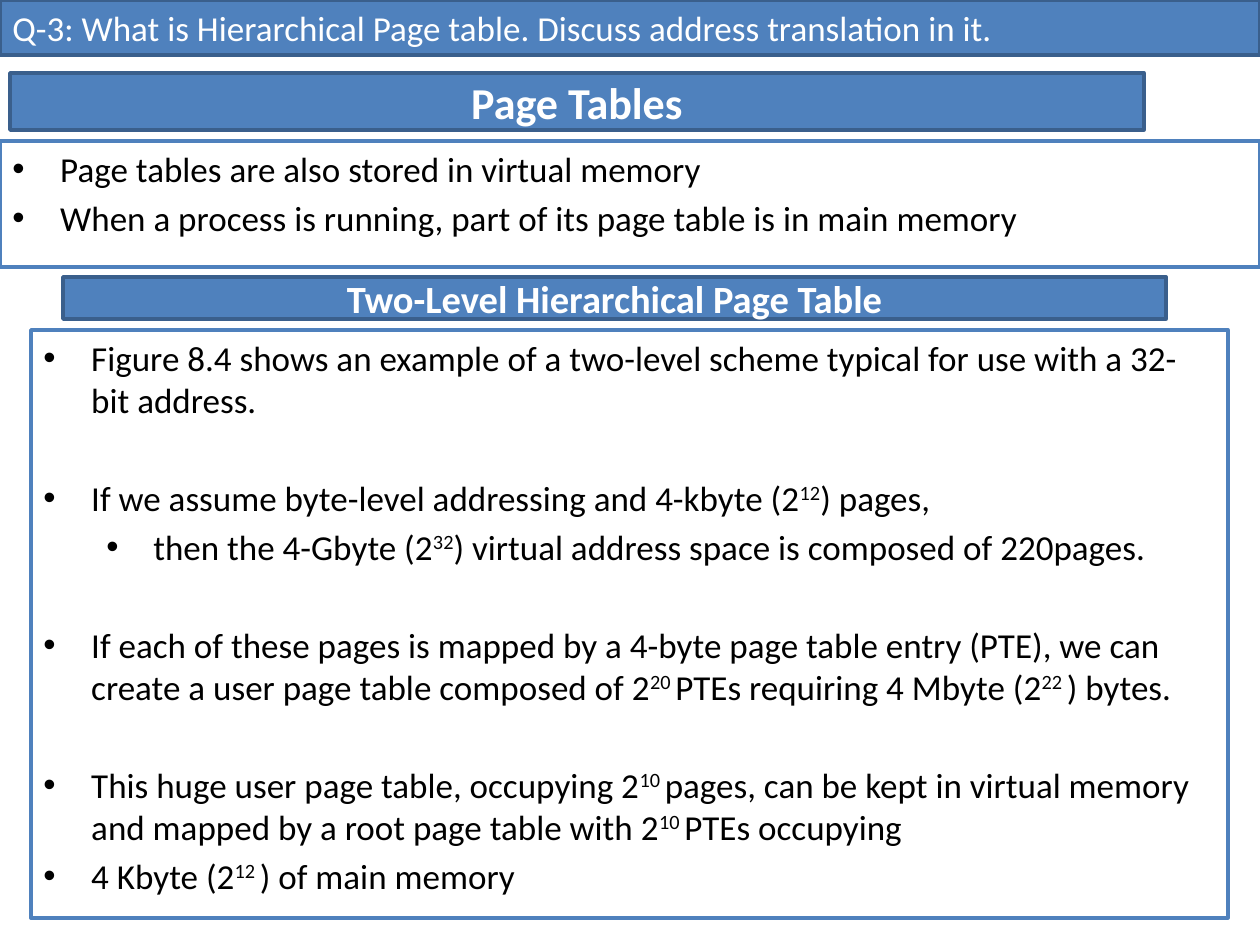
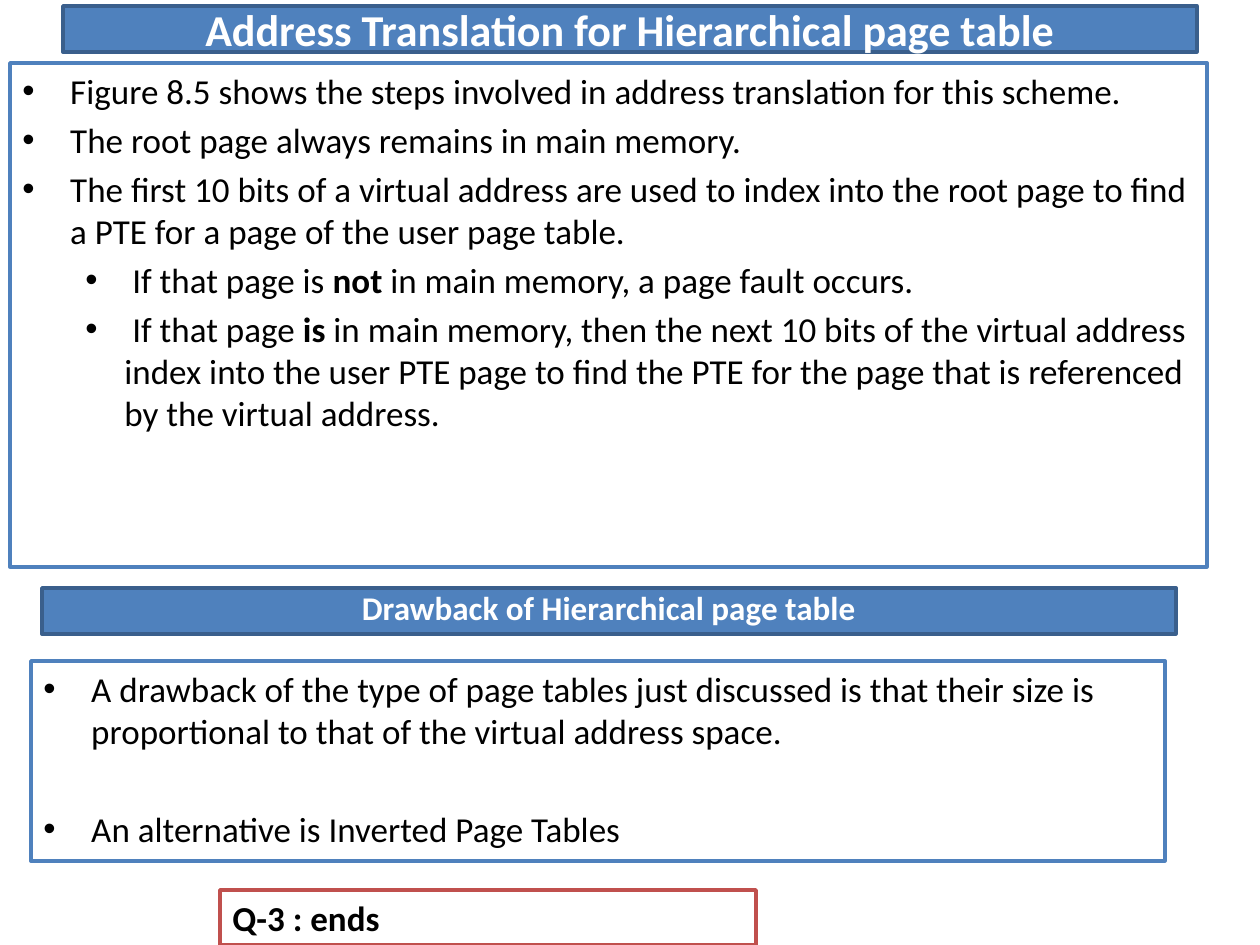
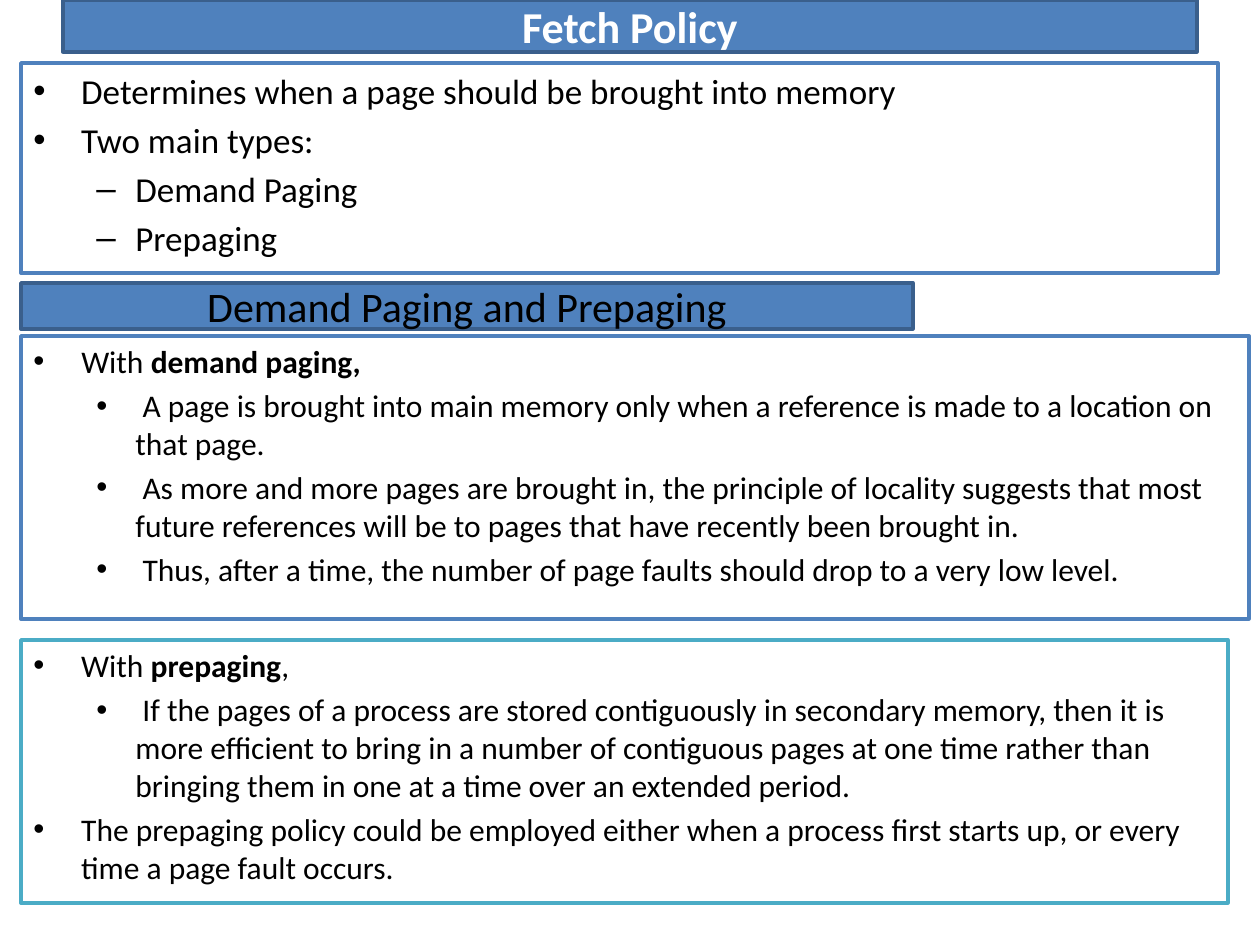
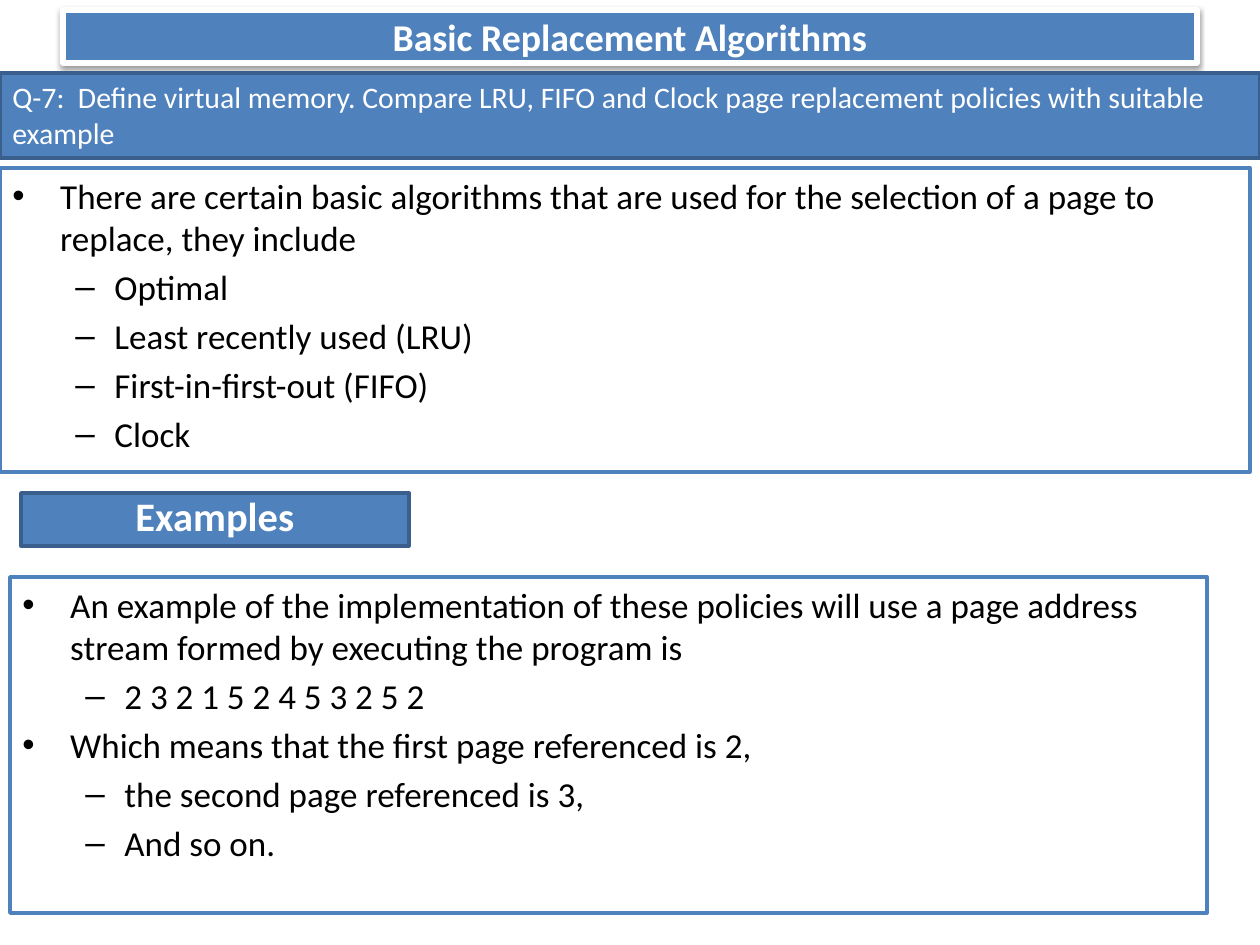
import dataclasses

import lxml.etree
import pptx
import pptx.dml.color
import pptx.enum.shapes
import pptx.enum.text
import pptx.oxml
import pptx.oxml.ns
import pptx.util

SCALE = 914400 / 126
PAGE = (1260, 945)


@dataclasses.dataclass(frozen=True)
class Theme:
    font: str = "Calibri"
    blue: str = "4F81BD"
    navy: str = "3A5F8C"
    red: str = "C0504D"
    teal: str = "4BACC6"
    white: str = "FFFFFF"
    black: str = "000000"
    title: float = 25.2
    section: float = 22
    body: float = 20
    small: float = 18
    question: float = 17
    line: float = 2


T = Theme()


@dataclasses.dataclass(frozen=True)
class Item:
    runs: tuple
    level: int = 0
    mark: str = "•"
    gap: bool = False


def item(*runs, **options):
    return Item(runs, **options)


def sub(*runs):
    return Item(runs, level=1)


def dash(*runs):
    return Item(runs, level=1, mark="–")


def bold(text):
    return text, "bold"


def sup(text):
    return text, "sup"


def px(n):
    return pptx.util.Emu(round(n * SCALE))


def rgb(value):
    return pptx.dml.color.RGBColor.from_string(value)


def add_run(p, text, size, color, strong=False):
    r = p.add_run()
    r.text = text
    r.font.name = T.font
    r.font.size = pptx.util.Pt(size)
    r.font.color.rgb = rgb(color)
    r.font.bold = strong
    return r


def panel(s, box, fill, line, weight=T.line, anchor="TOP"):
    sp = s.shapes.add_shape(pptx.enum.shapes.MSO_SHAPE.RECTANGLE, *map(px, box))
    sp.shadow.inherit = False
    sp.fill.solid()
    sp.fill.fore_color.rgb = rgb(fill)
    sp.line.color.rgb = rgb(line)
    sp.line.width = pptx.util.Pt(weight)
    tf = sp.text_frame
    tf.word_wrap = True
    tf.vertical_anchor = pptx.enum.text.MSO_ANCHOR[anchor]
    tf.paragraphs[0].alignment = pptx.enum.text.PP_ALIGN.LEFT
    return sp


def drop_shadow(sp):
    qn = pptx.oxml.ns.qn
    effects = sp._element.spPr.find(qn("a:effectLst"))
    shadow = lxml.etree.SubElement(
        effects, qn("a:outerShdw"), blurRad=str(pptx.util.Pt(3.1)),
        dist=str(pptx.util.Pt(1.6)), dir="5400000", rotWithShape="0")
    color = lxml.etree.SubElement(shadow, qn("a:srgbClr"), val=T.black)
    lxml.etree.SubElement(color, qn("a:alpha"), val="38000")


def heading(s, box, text, size=T.title, color=T.white, strong=True,
            spacing=None, raised=False):
    line, weight = (T.white, 3) if raised else (T.navy, T.line)
    sp = panel(s, box, T.blue, line, weight, "MIDDLE")
    if raised:
        drop_shadow(sp)
    p = sp.text_frame.paragraphs[0]
    p.alignment = pptx.enum.text.PP_ALIGN.CENTER
    p.line_spacing = spacing
    add_run(p, text, size, color, strong)


def question(s, box, text, size=T.body, anchor="MIDDLE"):
    sp = panel(s, box, T.blue, T.navy, anchor=anchor)
    add_run(sp.text_frame.paragraphs[0], text, size, T.white)


def closing(s, box, text):
    sp = panel(s, box, T.white, T.red)
    add_run(sp.text_frame.paragraphs[0], text, T.body, T.black, True)


def set_bullet(p, entry):
    margin, indent = ((0.38, -0.38), (0.81, -0.31))[entry.level]
    pPr = p._p.get_or_add_pPr()
    pPr.set("marL", str(pptx.util.Inches(margin)))
    pPr.set("indent", str(pptx.util.Inches(indent)))
    qn = pptx.oxml.ns.qn
    lxml.etree.SubElement(pPr, qn("a:buFont"), typeface="Arial")
    lxml.etree.SubElement(pPr, qn("a:buChar"), char=entry.mark)


def notes(s, box, items, size=T.body, line=T.blue):
    tf = panel(s, box, T.white, line).text_frame
    for i, entry in enumerate(items):
        p = tf.add_paragraph() if i else tf.paragraphs[0]
        p.alignment = pptx.enum.text.PP_ALIGN.LEFT
        p.level = entry.level
        before = size * (1.6 if entry.gap else 0.2) if i else 0
        p.space_before = pptx.util.Pt(before)
        set_bullet(p, entry)
        for part in entry.runs:
            text, style = (part, "") if isinstance(part, str) else part
            r = add_run(p, text, size, T.black, style == "bold")
            if style == "sup":
                r._r.get_or_add_rPr().set("baseline", "30000")


def page_tables(s):
    heading(s, (10, 73, 1134, 57), "Page Tables")
    notes(s, (0, 141, 1260, 126), [
        item("Page tables are also stored in virtual memory"),
        item("When a process is running, part of its page table is in main memory"),
    ])
    notes(s, (31, 330, 1197, 588), [
        item("Figure 8.4 shows an example of a two-level scheme typical for use "
             "with a 32-bit address."),
        item("If we assume byte-level addressing and 4-kbyte (2", sup("12"),
             ") pages,", gap=True),
        sub(" then the 4-Gbyte (2", sup("32"),
            ") virtual address space is composed of 220pages."),
        item("If each of these pages is mapped by a 4-byte page table entry (PTE), "
             "we can create a user page table composed of 2", sup("20 "),
             "PTEs requiring 4 Mbyte (2", sup("22 "), ") bytes.", gap=True),
        item("This huge user page table, occupying 2", sup("10 "),
             "pages, can be kept in virtual memory and mapped by a root page "
             "table with 2", sup("10 "), "PTEs occupying", gap=True),
        item("4 Kbyte (2", sup("12 "), ") of main memory"),
    ])
    heading(s, (63, 277, 1103, 42), "Two-Level Hierarchical Page Table", T.section)
    question(s, (0, 0, 1260, 55),
             "Q-3: What is Hierarchical Page table. Discuss address translation in it.")


def address_translation(s):
    notes(s, (10, 63, 1197, 504), [
        item("Figure 8.5 shows the steps involved in address translation for this scheme."),
        item("The root page always remains in main memory."),
        item("The first 10 bits of a virtual address are used to index into the "
             "root page to find a PTE for a page of the user page table."),
        sub(" If that page is ", bold("not "), "in main memory, a page fault occurs."),
        sub(" If that page ", bold("is "),
            "in main memory, then the next 10 bits of the virtual address index "
            "into the user PTE page to find the PTE for the page that is "
            "referenced by the virtual address."),
    ])
    heading(s, (63, 6, 1134, 46), "Address Translation for Hierarchical page table")
    heading(s, (42, 588, 1134, 46), "Drawback of Hierarchical page table",
            18.9, spacing=0.8)
    notes(s, (31, 661, 1134, 200), [
        item("A drawback of the type of page tables just discussed is that their "
             "size is proportional to that of the virtual address space."),
        item("An alternative is Inverted Page Tables", gap=True),
    ])
    closing(s, (220, 890, 536, 55), "Q-3 : ends")


def fetch_policy(s):
    heading(s, (63, 0, 1134, 52), "Fetch Policy")
    notes(s, (21, 63, 1197, 210), [
        item("Determines when a page should be brought into memory"),
        item("Two main types:"),
        dash("Demand Paging"),
        dash("Prepaging"),
    ])
    notes(s, (21, 336, 1228, 283), [
        item("With ", bold("demand paging,")),
        sub(" A page is brought into main memory only when a reference is made "
            "to a location on that page."),
        sub(" As more and more pages are brought in, the principle of locality "
            "suggests that most future references will be to pages that have "
            "recently been brought in."),
        sub(" Thus, after a time, the number of page faults should drop to a "
            "very low level."),
    ], T.small)
    heading(s, (21, 283, 892, 46), "Demand Paging and Prepaging", 24, T.black, False)
    notes(s, (21, 640, 1207, 263), [
        item("With ", bold("prepaging"), ","),
        sub(" If the pages of a process are stored contiguously in secondary "
            "memory, then it is more efficient to bring in a number of contiguous "
            "pages at one time rather than bringing them in one at a time over "
            "an extended period."),
        item("The prepaging policy could be employed either when a process first "
             "starts up, or every time a page fault occurs."),
    ], T.small, T.teal)


def replacement_algorithms(s):
    heading(s, (63, 10, 1134, 53), "Basic Replacement Algorithms", 21.6, raised=True)
    notes(s, (0, 168, 1250, 304), [
        item("There are certain basic algorithms that are used for the selection "
             "of a page to replace, they include"),
        dash("Optimal"),
        dash("Least recently used (LRU)"),
        dash("First-in-first-out (FIFO)"),
        dash("Clock"),
    ])
    heading(s, (21, 493, 388, 53), "Examples", 23.1, spacing=0.8)
    notes(s, (10, 577, 1197, 336), [
        item("An example of the implementation of these policies will use a page "
             "address stream formed by executing the program is"),
        dash("2 3 2 1 5 2 4 5 3 2 5 2"),
        item("Which means that the first page referenced is 2,"),
        dash("the second page referenced is 3,"),
        dash("And so on."),
    ])
    question(s, (0, 73, 1260, 85),
             "Q-7:  Define virtual memory. Compare LRU, FIFO and Clock page "
             "replacement policies with suitable example", T.question, "TOP")


prs = pptx.Presentation()
prs.slide_width, prs.slide_height = map(px, PAGE)
for build in (page_tables, address_translation, fetch_policy, replacement_algorithms):
    build(prs.slides.add_slide(prs.slide_layouts[6]))
prs.save("out.pptx")
